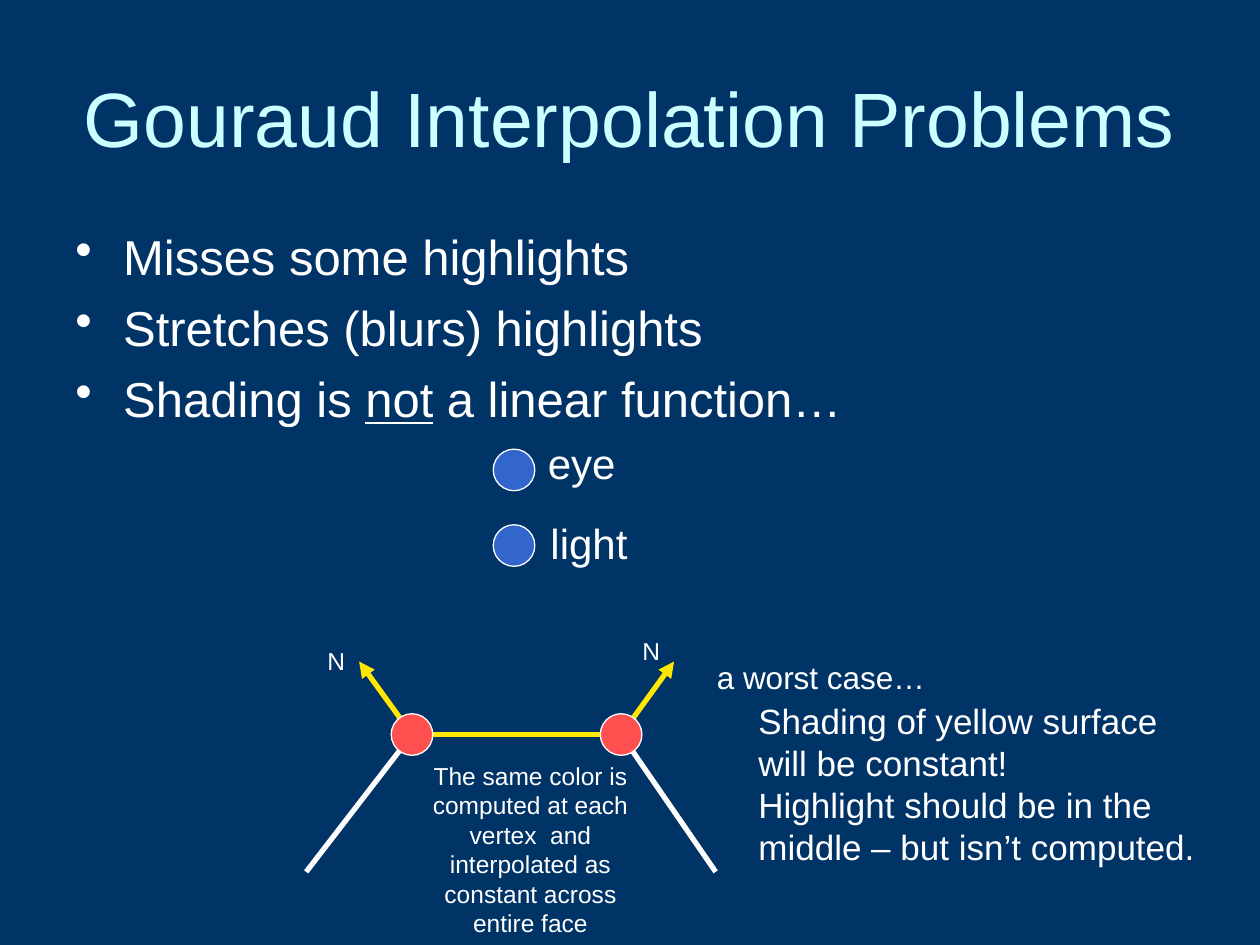
from lxml.etree import SubElement
from pptx import Presentation
from pptx.dml.color import RGBColor
from pptx.enum.shapes import MSO_CONNECTOR as Connector, MSO_SHAPE as Shape
from pptx.enum.text import MSO_ANCHOR as Anchor, PP_ALIGN as Align
from pptx.oxml.ns import qn
from pptx.util import Inches, Pt

THEME = {
    "font": "Arial",
    "background": "003366", "title": "CCFFFF", "text": "FFFFFF",
    "surface": "FFE701", "neighbour": "FFFFFF",
    "source": "3366CC", "vertex": "FF5050", "outline": "FFFFFF",
    "title_size": 44, "body_size": 28, "label_size": 24,
    "remark_size": 20, "case_size": 18, "note_size": 14,
    "edge_width": 3, "outline_width": 0.75,
}

# Content: a paragraph is a string or a list of (text, underlined) runs
TITLE = "Gouraud Interpolation Problems"
BULLETS = [
    "Misses some highlights",
    "Stretches (blurs) highlights",
    [("Shading is ", False), ("not", True), (" a linear function…", False)],
]
REMARKS = [
    "Shading of yellow surface",
    "will be constant!",
    "Highlight should be in the middle – but isn’t computed.",
]
NOTE = ("The same color is computed at each vertex  and interpolated "
        "as constant across entire face")

# Geometry of the diagram, in inches
WIDTH, HEIGHT, MARGIN = 10, 7.5, 0.5
LEFT_VERTEX, RIGHT_VERTEX = (3.27, 5.83), (4.93, 5.83)
NORMAL_RUN, NORMAL_RISE = 0.42, 0.58
EDGE_BOTTOM = 6.92
DIAMETER = 0.33
EYE, LIGHT = (4.08, 3.73), (4.08, 4.33)


def color(name):
    return RGBColor.from_string(THEME[name])


def add_text(slide, paragraphs, box, size, fill="text", align=Align.LEFT,
             anchor=Anchor.TOP, wrap=True, bullet=None, space=0):
    frame = slide.shapes.add_textbox(*map(Inches, box)).text_frame
    frame.word_wrap = wrap
    frame.vertical_anchor = anchor
    for index, content in enumerate(paragraphs):
        paragraph = frame.paragraphs[0] if index == 0 else frame.add_paragraph()
        paragraph.alignment = align
        if index and space:
            paragraph.space_before = Pt(space)
        if bullet:
            properties = paragraph._p.get_or_add_pPr()
            properties.set("marL", str(Inches(0.38)))
            properties.set("indent", str(-Inches(0.38)))
            SubElement(properties, qn("a:buChar")).set("char", bullet)
        runs = [(content, False)] if isinstance(content, str) else content
        for text, underlined in runs:
            run = paragraph.add_run()
            run.text = text
            run.font.name = THEME["font"]
            run.font.size = Pt(THEME[size])
            run.font.color.rgb = color(fill)
            if underlined:
                run.font.underline = True


def add_edge(slide, start, end, fill, arrow=False):
    edge = slide.shapes.add_connector(
        Connector.STRAIGHT, *map(Inches, (*start, *end)))
    edge.line.color.rgb = color(fill)
    edge.line.width = Pt(THEME["edge_width"])
    if arrow:
        SubElement(edge.line._get_or_add_ln(), qn("a:tailEnd")).set("type", "triangle")
    SubElement(edge._element.spPr, qn("a:effectLst"))


def add_dot(slide, center, fill):
    x, y = center
    dot = slide.shapes.add_shape(Shape.OVAL, *map(Inches, (
        x - DIAMETER / 2, y - DIAMETER / 2, DIAMETER, DIAMETER)))
    dot.shadow.inherit = False
    dot.fill.solid()
    dot.fill.fore_color.rgb = color(fill)
    dot.line.color.rgb = color("outline")
    dot.line.width = Pt(THEME["outline_width"])


def main():
    presentation = Presentation()
    presentation.slide_width = Inches(WIDTH)
    presentation.slide_height = Inches(HEIGHT)
    slide = presentation.slides.add_slide(presentation.slide_layouts[6])
    slide.background.fill.solid()
    slide.background.fill.fore_color.rgb = color("background")

    # Title and bullets
    content_width = WIDTH - 2 * MARGIN
    add_text(slide, [TITLE], (MARGIN, 0.3, content_width, 1.25), "title_size",
             fill="title", align=Align.CENTER, anchor=Anchor.MIDDLE)
    add_text(slide, BULLETS, (MARGIN, 1.75, content_width, 4.95), "body_size",
             bullet="•", space=7)

    # Faces, then the normals leaning outward from the vertices
    add_edge(slide, (2.43, EDGE_BOTTOM), LEFT_VERTEX, "neighbour")
    add_edge(slide, LEFT_VERTEX, RIGHT_VERTEX, "surface")
    add_edge(slide, RIGHT_VERTEX, (5.68, EDGE_BOTTOM), "neighbour")
    for (x, y), side in ((LEFT_VERTEX, -1), (RIGHT_VERTEX, 1)):
        tip = (x + side * NORMAL_RUN, y - NORMAL_RISE)
        add_edge(slide, (x, y), tip, "surface", arrow=True)

    # Vertices, eye and light
    for center, fill in ((LEFT_VERTEX, "vertex"), (RIGHT_VERTEX, "vertex"),
                         (EYE, "source"), (LIGHT, "source")):
        add_dot(slide, center, fill)

    # Labels and remarks
    add_text(slide, ["eye"], (4.25, 3.42, 0.74, 0.5), "label_size", wrap=False)
    add_text(slide, ["light"], (4.27, 4.06, 0.81, 0.5), "label_size", wrap=False)
    for left, top in ((2.5, 5.08), (5, 5)):
        add_text(slide, ["N"], (left, top, 0.42, 0.34), "note_size",
                 align=Align.JUSTIFY)
    add_text(slide, ["a worst case…"], (5.59, 5.17, 1.85, 0.4), "case_size",
             align=Align.JUSTIFY, wrap=False)
    add_text(slide, REMARKS, (5.92, 5.5, 3.75, 1.44), "remark_size")
    add_text(slide, [NOTE], (3.17, 5.99, 2.08, 1.5), "note_size",
             align=Align.CENTER)

    presentation.save("out.pptx")


if __name__ == "__main__":
    main()
